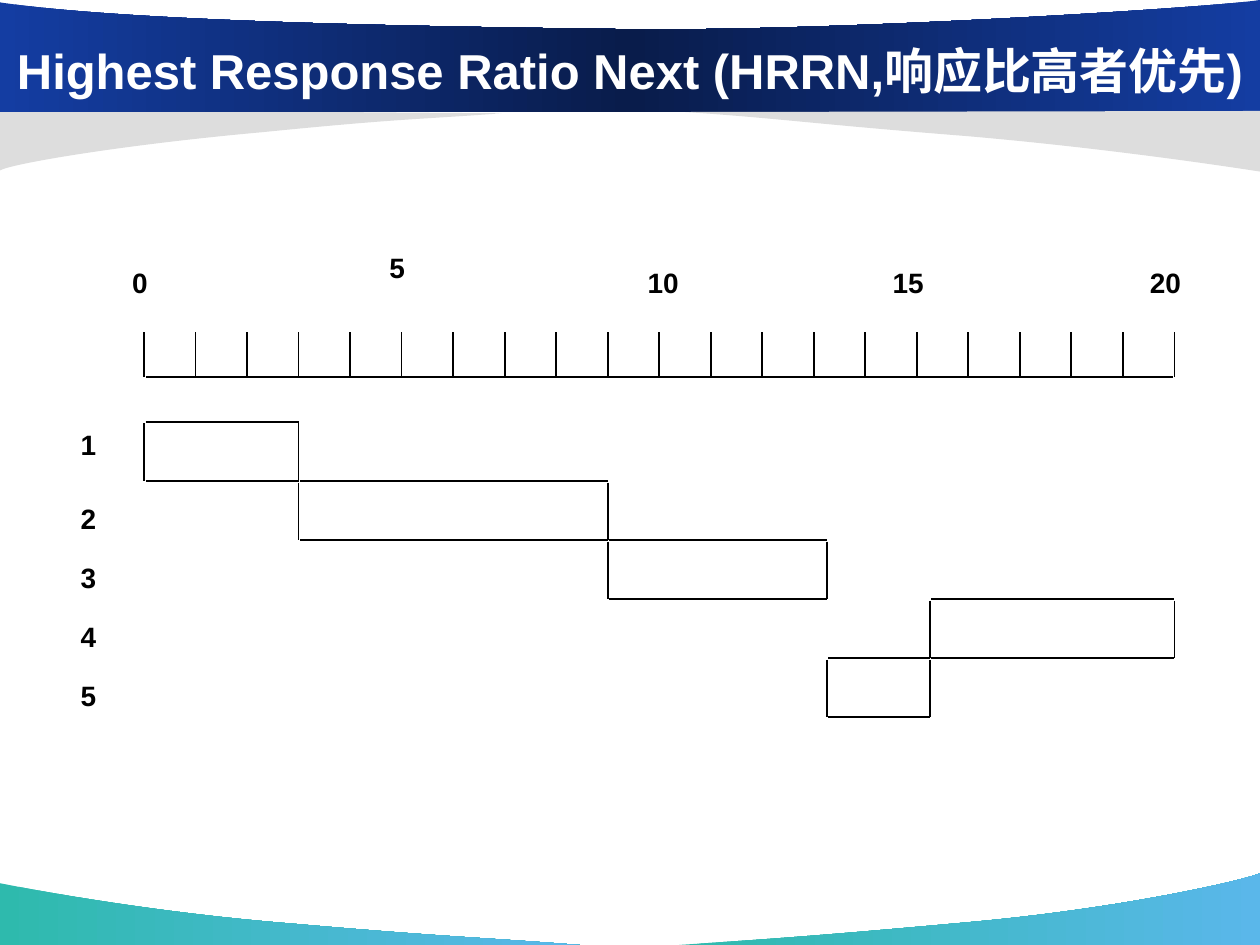
from copy import deepcopy

from lxml import etree
from pptx import Presentation
from pptx.dml import color
from pptx.enum import shapes, text
from pptx.oxml import ns
from pptx import util as u

COLORS = {
    "teal": "2EBAAD", "sky": "5AB7EA", "grey": "DDDDDD",
    "blue": "143DA2", "navy": "091C4B", "white": "FFFFFF", "black": "000000",
}
FONT = "Arial"
TITLE = "Highest Response Ratio Next (HRRN,响应比高者优先)"

WAVES = [
    {"fill": ["teal", "sky"], "start": (331.2, 540),
     "curves": [[(276.5, 535.7), (257.8, 535.7), (167, 527.8)],
                [(76.3, 520.6), (0.7, 504.7), (0, 504.7)]],
     "corners": [(0, 540)]},
    {"fill": ["teal", "sky"], "start": (388.1, 540),
     "curves": [[(442.1, 536.4), (465.1, 535), (553.7, 527)],
                [(642.2, 519.1), (712.8, 502.6), (720, 499)]],
     "corners": [(720, 540)]},
    {"fill": ["grey"], "start": (286.6, 64.8),
     "curves": [[(238.3, 68.4), (229, 67.7), (149.8, 75.6)],
                [(69.8, 82.8), (6.5, 93.6), (0, 97.4)]],
     "corners": [(0, 62.6)]},
    {"fill": ["blue", "navy", "blue"], "start": (720, 0),
     "curves": [[(694.1, 4.3), (470.2, 18.7), (350.6, 16.6)],
                [(231.1, 15.1), (72.7, 12.2), (0, 1.4)]],
     "corners": [(0, 64), (720, 64)]},
    {"fill": ["grey"], "start": (391.7, 64),
     "curves": [[(446.4, 67.7), (462.2, 70.6), (553, 77.8)],
                [(643.7, 85.7), (719.3, 98), (720, 98)]],
     "corners": [(720, 63.4)]},
]

JOBS = [
    ("1", 0, 3, 241),
    ("2", 3, 9, 283),
    ("3", 9, 13.25, 316.8),
    ("4", 15.25, 20, 350.5),
    ("5", 13.25, 15.25, 384.3),
]
SCALE_LABELS = [("0", 68.4, 148.2), ("5", 215.5, 139.5), ("10", 363, 148.2),
                ("15", 503, 148.2), ("20", 650, 148.2)]

AXIS_LEFT, UNIT, TICKS = 82.3, 29.44, 20
AXIS_TOP, AXIS_BOTTOM = 190, 215.5
ROW_TOP, ROW_HEIGHT = 241, 33.78
LABEL_LEFT, GAP = 39, 1


def rgb(name):
    return color.RGBColor.from_string(COLORS[name])


def time_x(time):
    return AXIS_LEFT + time * UNIT


def paint(fill, names):
    if len(names) == 1:
        fill.solid()
        fill.fore_color.rgb = rgb(names[0])
        return
    fill.gradient()
    fill.gradient_angle = 0
    stop_list = fill._fill._gradFill.find(ns.qn("a:gsLst"))
    while len(stop_list) < len(names):
        stop_list.append(deepcopy(stop_list[0]))
    for index, (stop, name) in enumerate(zip(fill.gradient_stops, names)):
        stop.color.rgb = rgb(name)
        stop.position = index / (len(names) - 1)


def bend(shape, curve_count):
    segments = list(shape.element.iter(ns.qn("a:lnTo")))
    for index in range(curve_count):
        group = segments[3 * index:3 * index + 3]
        curve = etree.Element(ns.qn("a:cubicBezTo"))
        group[0].addprevious(curve)
        for segment in group:
            curve.append(segment[0])
            segment.getparent().remove(segment)


def add_wave(page, wave):
    handles = [point for curve in wave["curves"] for point in curve]
    points = [(u.Pt(x), u.Pt(y))
              for x, y in [wave["start"]] + handles + wave["corners"]]
    builder = page.shapes.build_freeform(*points[0])
    builder.add_line_segments(points[1:], close=True)
    shape = builder.convert_to_shape()
    bend(shape, len(wave["curves"]))
    shape.shadow.inherit = False
    shape.line.fill.background()
    paint(shape.fill, wave["fill"])


def add_line(page, x1, y1, x2, y2):
    line = page.shapes.add_connector(
        shapes.MSO_CONNECTOR.STRAIGHT, u.Pt(x1), u.Pt(y1), u.Pt(x2), u.Pt(y2))
    line.line.color.rgb = rgb("black")
    line.line.width = u.Pt(1)
    etree.SubElement(line._element.spPr, ns.qn("a:effectLst"))


def format_text(frame, size, name):
    for span in frame.paragraphs[0].runs:
        span.font.name = FONT
        span.font.size = u.Pt(size)
        span.font.bold = True
        span.font.color.rgb = rgb(name)


def add_label(page, words, left, top):
    width = 23.3 if len(words) == 1 else 32.4
    box = page.shapes.add_textbox(u.Pt(left), u.Pt(top), u.Pt(width), u.Pt(26))
    box.text_frame.word_wrap = False
    box.text_frame.auto_size = text.MSO_AUTO_SIZE.SHAPE_TO_FIT_TEXT
    box.text_frame.text = words
    format_text(box.text_frame, 16, "black")


def add_title(page):
    title = page.shapes.title
    title.left, title.top = u.Pt(-20), u.Pt(18)
    title.width, title.height = u.Pt(760), u.Pt(44.4)
    frame = title.text_frame
    frame.text = TITLE
    frame.word_wrap = True
    frame.auto_size = text.MSO_AUTO_SIZE.NONE
    frame.vertical_anchor = text.MSO_ANCHOR.MIDDLE
    frame.paragraphs[0].alignment = text.PP_ALIGN.CENTER
    format_text(frame, 28, "white")
    title.element.getparent().append(title.element)


def add_axis(page):
    add_line(page, AXIS_LEFT + GAP, AXIS_BOTTOM, time_x(TICKS) - GAP, AXIS_BOTTOM)
    for tick in range(TICKS + 1):
        add_line(page, time_x(tick), AXIS_BOTTOM, time_x(tick), AXIS_TOP)
    for label in SCALE_LABELS:
        add_label(page, *label)


def add_jobs(page):
    for row, (name, begin, end, label_top) in enumerate(JOBS):
        top = ROW_TOP + row * ROW_HEIGHT
        bottom = top + ROW_HEIGHT
        left, right = time_x(begin), time_x(end)
        for x in (left, right):
            add_line(page, x, top + GAP, x, bottom)
        for y in (top, bottom):
            add_line(page, left + GAP, y, right, y)
        add_label(page, name, LABEL_LEFT, label_top)


def main():
    deck = Presentation()
    deck.slide_width, deck.slide_height = u.Pt(720), u.Pt(540)
    page = deck.slides.add_slide(deck.slide_layouts[5])
    page.background.fill.solid()
    page.background.fill.fore_color.rgb = rgb("white")
    for wave in WAVES:
        add_wave(page, wave)
    add_title(page)
    add_jobs(page)
    add_axis(page)
    deck.save("out.pptx")


if __name__ == "__main__":
    main()
